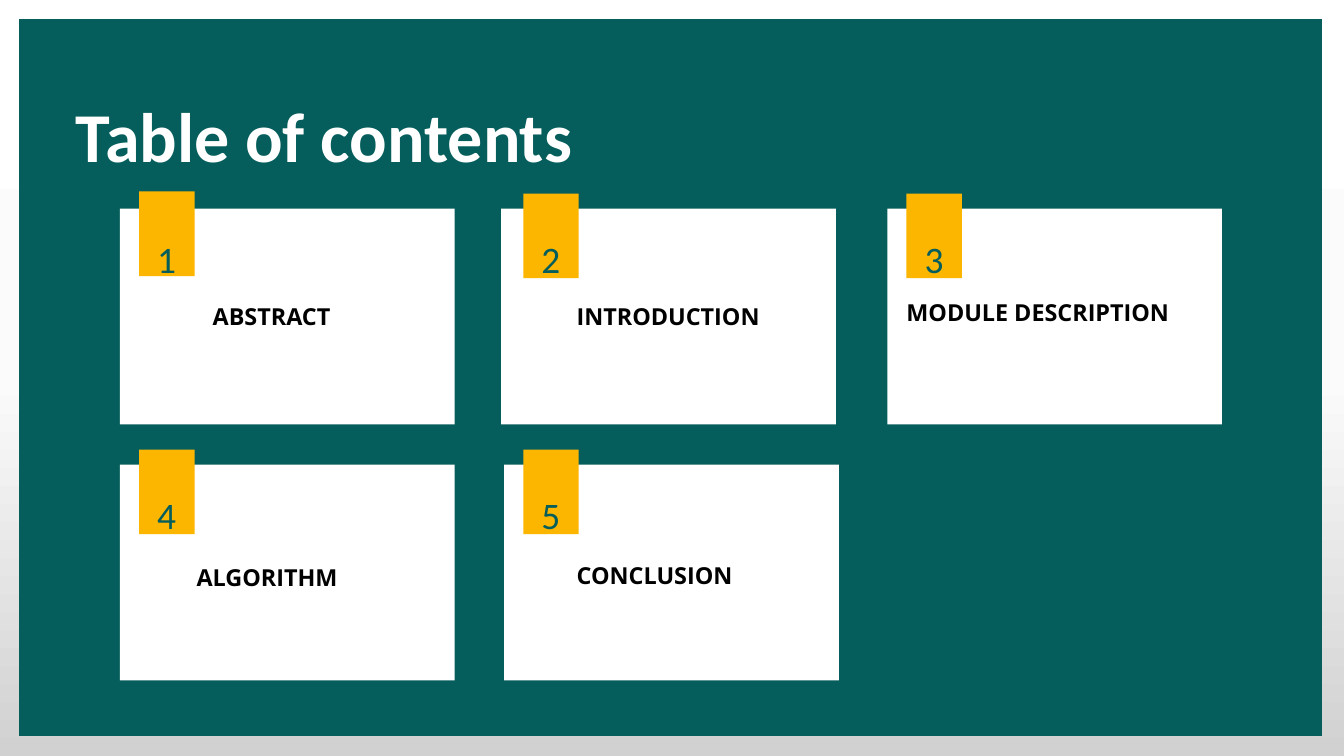
from copy import deepcopy

from pptx import Presentation
from pptx.dml.color import RGBColor
from pptx.enum.shapes import MSO_SHAPE
from pptx.enum.text import MSO_AUTO_SIZE
from pptx.oxml.ns import qn
from pptx.util import Inches, Pt

TEAL = "055E5C"
AMBER = "FDB600"
WHITE = "FFFFFF"
BLACK = "000000"


def add_block(left, top, width, height, color):
    shape = slide.shapes.add_shape(
        MSO_SHAPE.RECTANGLE, Inches(left), Inches(top), Inches(width), Inches(height)
    )
    shape.shadow.inherit = False
    shape.fill.solid()
    shape.fill.fore_color.rgb = RGBColor.from_string(color)
    shape.line.fill.background()


def add_text(text, left, top, width, height, size, font, color, bold=False, spacing=None):
    box = slide.shapes.add_textbox(Inches(left), Inches(top), Inches(width), Inches(height))
    frame = box.text_frame
    frame.word_wrap = True
    frame.auto_size = MSO_AUTO_SIZE.SHAPE_TO_FIT_TEXT
    frame.margin_left = frame.margin_right = frame.margin_top = frame.margin_bottom = 0
    paragraph = frame.paragraphs[0]
    paragraph.text = text
    paragraph.line_spacing = spacing
    paragraph.font.size = Pt(size)
    paragraph.font.name = font
    paragraph.font.bold = bold
    paragraph.font.color.rgb = RGBColor.from_string(color)


presentation = Presentation()
presentation.slide_width = Inches(13.33)
presentation.slide_height = Inches(7.5)
slide = presentation.slides.add_slide(presentation.slide_layouts[6])

background = slide.background.fill
background.gradient()
background.gradient_angle = 270
stop_list = slide.element.find(".//" + qn("a:gsLst"))
stop_list.append(deepcopy(stop_list[0]))
gradient = [(0, WHITE), (0.5, "FBFBFB"), (1, "D1D1D1")]
for stop, (position, color) in zip(background.gradient_stops, gradient):
    stop.position = position
    stop.color.rgb = RGBColor.from_string(color)

add_block(0.19, 0.19, 12.92, 7.11, TEAL)
add_text("Table of contents", 0.75, 0.75, 6.28, 1.01, 50, "Calibri", WHITE, True, 1.2)

row_tops = [2.07, 4.61]
tab_lefts = [1.38, 5.19, 8.99]
cards = [
    ("ABSTRACT", 1.19, 1.9, 2.11, 3),
    ("INTRODUCTION", 4.97, 1.92, 5.72, 3),
    ("MODULE DESCRIPTION", 8.8, 1.92, 8.99, 2.96),
    ("ALGORITHM", 1.19, 4.46, 1.95, 5.59),
    ("CONCLUSION", 5, 4.46, 5.72, 5.57),
]
for index, (label, card_left, tab_top, label_left, label_top) in enumerate(cards):
    row, column = divmod(index, len(tab_lefts))
    card_top = row_tops[row]
    tab_left = tab_lefts[column]
    add_block(card_left, card_top, 3.32, 2.14, WHITE)
    add_block(tab_left, tab_top, 0.55, 0.84, AMBER)
    add_text(label, label_left, label_top, 2.89, 0.28, 16.7, "Open Sans", BLACK, True)
    add_text(
        str(index + 1), tab_left + 0.18, card_top + 0.14, 0.24, 0.58,
        26.7, "Calibri", TEAL, spacing=1.3,
    )

presentation.save("out.pptx")
